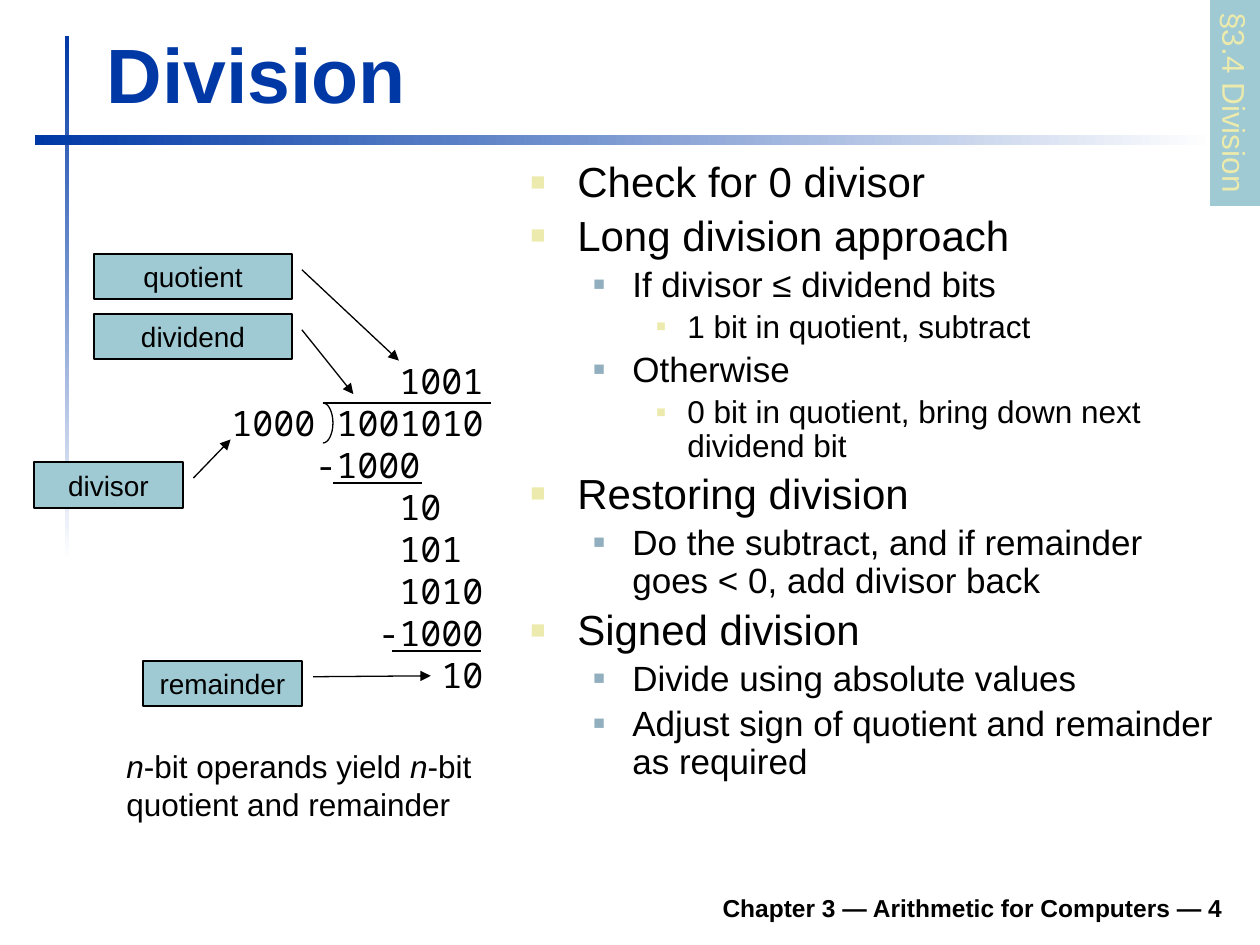
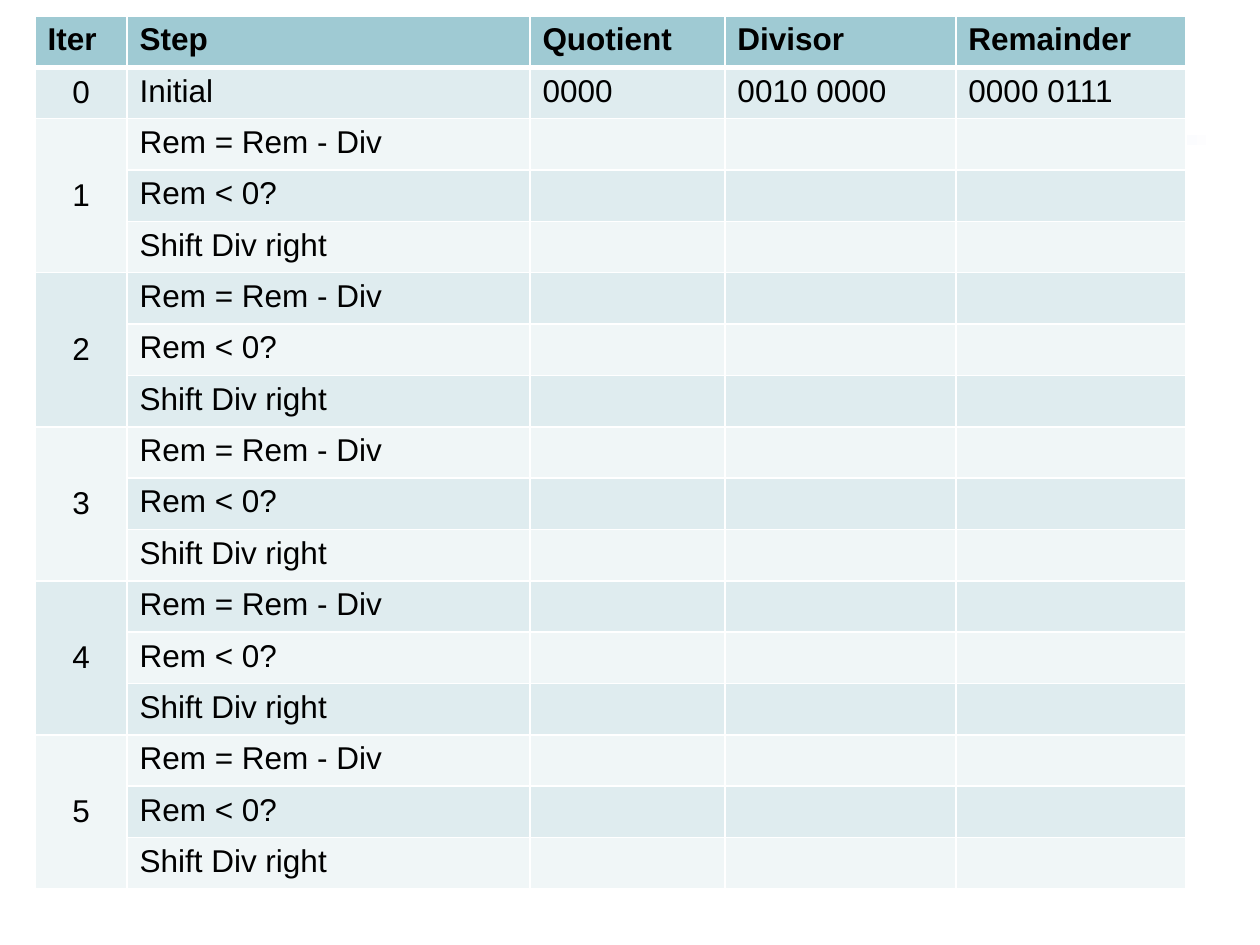
import math
from dataclasses import dataclass

from lxml import etree
from pptx import Presentation
from pptx import util as u
from pptx.dml.color import RGBColor
from pptx.enum import shapes, text
from pptx.oxml import ns

PX = 914400 // 126
BLUE = RGBColor(0x00, 0x39, 0xA6)
WHITE = RGBColor(0xFF, 0xFF, 0xFF)
BLACK = RGBColor(0x00, 0x00, 0x00)
TEAL = RGBColor(0x9F, 0xCA, 0xD3)
CREAM = RGBColor(0xEC, 0xEA, 0xAC)
STEEL = RGBColor(0x91, 0xAF, 0xBF)
BAND_DARK = RGBColor(0xDF, 0xEC, 0xEF)
BAND_LIGHT = RGBColor(0xF0, 0xF6, 0xF7)
SANS = "Arial"
MONO = "Noto Sans Mono"
DIGIT_WIDTH = 21


@dataclass(frozen=True)
class Box:
    left: int
    top: int
    width: int
    height: int

    def emu(self) -> tuple[int, ...]:
        return tuple(v * PX for v in (self.left, self.top, self.width, self.height))


@dataclass(frozen=True)
class Level:
    size: int
    margin: int
    hang: int
    bullet_color: RGBColor
    bullet_percent: int


@dataclass(frozen=True)
class Callout:
    label: str
    box: Box
    tip: tuple[float, float, float, float]


LEVELS = (
    Level(24, 47, 47, CREAM, 60),
    Level(20, 102, 39, STEEL, 55),
    Level(18, 157, 31, CREAM, 50),
)
OUTLINE = (
    (0, "Check for 0 divisor"),
    (0, "Long division approach"),
    (1, "If divisor ≤ dividend bits"),
    (2, "1 bit in quotient, subtract"),
    (1, "Otherwise"),
    (2, "0 bit in quotient, bring down next dividend bit"),
    (0, "Restoring division"),
    (1, "Do the subtract, and if remainder goes < 0, add divisor back"),
    (0, "Signed division"),
    (1, "Divide using absolute values"),
    (1, "Adjust sign of quotient and remainder as required"),
)
WORKING = (
    (8, "1001"),
    (0, "1000 1001010"),
    (4, "-1000"),
    (8, "10"),
    (8, "101"),
    (8, "1010"),
    (7, "-1000"),
    (10, "10"),
)
CALLOUTS = (
    Callout("quotient", Box(94, 254, 198, 45), (0.35, 1.05, 2.37, 1.54)),
    Callout("dividend", Box(94, 314, 198, 45), (0.35, 1.05, 1.78, 1.31)),
    Callout("remainder", Box(143, 661, 159, 45), (0.35, 1.07, 0.33, 1.81)),
    Callout("divisor", Box(34, 462, 149, 46), (0.35, 1.07, -0.49, 1.32)),
)
RULES = ((323, 491, 403), (333, 422, 483), (392, 481, 651))
HEADINGS = ("Iter", "Step", "Quotient", "Divisor", "Remainder")
INITIAL = ("0", "Initial", "0000", "0010 0000", "0000 0111")
STEPS = ("Rem = Rem - Div", "Rem < 0?", "Shift Div right")
ITERATIONS = 5
COLUMNS = (92, 403, 195, 231, 230)
TABLE_HEIGHT = 873


def add_xml(parent, tag: str, **attributes: str):
    return etree.SubElement(parent, ns.qn(tag), **attributes)


def style(paragraph, size: int, color: RGBColor = BLACK, bold: bool = False,
          face: str = SANS) -> None:
    font = paragraph.font
    font.name, font.size, font.bold = face, u.Pt(size), bold
    font.color.rgb = color


def text_frame(slide, box: Box, wrap: bool = True):
    frame = slide.shapes.add_textbox(*box.emu()).text_frame
    frame.word_wrap = wrap
    return frame


def paragraph_at(frame, index: int):
    return frame.paragraphs[0] if index == 0 else frame.add_paragraph()


def plain_shape(slide, kind, box: Box):
    shape = slide.shapes.add_shape(kind, *box.emu())
    shape.shadow.inherit = False
    return shape


def draw_rails(slide) -> None:
    for box, angle in ((Box(65, 36, 4, 525), 270), (Box(35, 135, 1180, 10), 0)):
        rail = plain_shape(slide, shapes.MSO_SHAPE.RECTANGLE, box)
        rail.line.fill.background()
        rail.fill.gradient()
        rail.fill.gradient_angle = angle
        for stop, color in zip(rail.fill.gradient_stops, (BLUE, WHITE)):
            stop.color.rgb = color


def draw_title(slide, wording: str) -> None:
    title = slide.shapes.title
    title.left, title.top, title.width, title.height = Box(94, 20, 1138, 105).emu()
    frame = title.text_frame
    frame.text = wording
    frame.vertical_anchor = text.MSO_ANCHOR.BOTTOM
    frame.auto_size = text.MSO_AUTO_SIZE.SHAPE_TO_FIT_TEXT
    heading = frame.paragraphs[0]
    heading.alignment = text.PP_ALIGN.LEFT
    style(heading, 44, BLUE, bold=True)


def draw_footer(slide, wording: str) -> None:
    frame = text_frame(slide, Box(233, 880, 1002, 49))
    frame.vertical_anchor = text.MSO_ANCHOR.BOTTOM
    footer = frame.paragraphs[0]
    footer.text = wording
    footer.alignment = text.PP_ALIGN.RIGHT
    style(footer, 14, bold=True)


def draw_section_tag(slide, wording: str) -> None:
    tag = plain_shape(slide, shapes.MSO_SHAPE.RECTANGLE, Box(1132, 78, 206, 50))
    tag.rotation = 90
    tag.fill.solid()
    tag.fill.fore_color.rgb = TEAL
    tag.line.fill.background()
    tag.text_frame.word_wrap = False
    label = tag.text_frame.paragraphs[0]
    label.text = wording
    label.alignment = text.PP_ALIGN.LEFT
    style(label, 18, CREAM)


def draw_outline(slide) -> None:
    frame = text_frame(slide, Box(518, 155, 717, 704))
    for index, (depth, wording) in enumerate(OUTLINE):
        level = LEVELS[depth]
        item = paragraph_at(frame, index)
        item.text, item.level, item.line_spacing = wording, depth, 0.9
        properties = item._p.get_or_add_pPr()
        properties.set("marL", str(level.margin * PX))
        properties.set("indent", str(-level.hang * PX))
        add_xml(add_xml(properties, "a:spcBef"), "a:spcPct", val="20000")
        add_xml(add_xml(properties, "a:buClr"), "a:srgbClr", val=str(level.bullet_color))
        add_xml(properties, "a:buSzPct", val=str(level.bullet_percent * 1000))
        add_xml(properties, "a:buFont", typeface=SANS)
        add_xml(properties, "a:buChar", char="■")
        style(item, level.size)


def draw_rule(slide, start: int, end: int, height: int) -> None:
    rule = slide.shapes.add_connector(
        shapes.MSO_CONNECTOR.STRAIGHT, end * PX, height * PX, start * PX, height * PX)
    rule.line.color.rgb = BLACK
    rule.line.width = u.Pt(0.75)
    add_xml(rule._element.spPr, "a:effectLst")


def draw_bracket_half(slide, start: int, direction: int) -> None:
    angles = [math.pi / 2 * step / 8 for step in range(9)]
    points = [((323 + 10 * math.sin(a)) * PX,
               (start + direction * 20 * (1 - math.cos(a))) * PX) for a in angles]
    builder = slide.shapes.build_freeform(*points[0])
    builder.add_line_segments(points[1:], close=False)
    half = builder.convert_to_shape()
    half.shadow.inherit = False
    half.fill.background()
    half.line.color.rgb = BLACK
    half.line.width = u.Pt(0.75)


def draw_working(slide) -> None:
    frame = text_frame(slide, Box(219, 353, 298, 349))
    for index, (column, digits) in enumerate(WORKING):
        row = paragraph_at(frame, index)
        row.text = digits
        row._p.get_or_add_pPr().set("marL", str(column * DIGIT_WIDTH * PX))
        style(row, 20, face=MONO)
    for rule in RULES:
        draw_rule(slide, *rule)
    draw_bracket_half(slide, 403, 1)
    draw_bracket_half(slide, 443, -1)


def draw_callout(slide, callout: Callout) -> None:
    shape = plain_shape(slide, shapes.MSO_SHAPE.LINE_CALLOUT_1, callout.box)
    for index, value in enumerate(callout.tip):
        shape.adjustments[index] = value
    shape.fill.solid()
    shape.fill.fore_color.rgb = TEAL
    shape.line.color.rgb = BLACK
    shape.line.width = u.Pt(0.75)
    add_xml(shape.line._get_or_add_ln(), "a:tailEnd", type="triangle")
    label = shape.text_frame.paragraphs[0]
    label.text = callout.label
    label.alignment = text.PP_ALIGN.CENTER
    style(label, 16)


def draw_note(slide) -> None:
    note = text_frame(slide, Box(114, 741, 370, 88), wrap=False).paragraphs[0]
    style(note, 18)
    for wording, italic in (("n", True), ("-bit operands yield ", False),
                            ("n", True), ("-bit", False)):
        run = note.add_run()
        run.text = wording
        run.font.italic = italic
    note.add_line_break()
    note.add_run().text = "quotient and remainder"


def border_cell(cell, row: int) -> None:
    thick = {0: "a:lnB", 1: "a:lnT"}.get(row)
    properties = cell._tc.get_or_add_tcPr()
    for side in ("a:lnL", "a:lnR", "a:lnT", "a:lnB"):
        width = u.Pt(3 if side == thick else 1)
        edge = add_xml(properties, side, w=str(int(width)))
        add_xml(add_xml(edge, "a:solidFill"), "a:srgbClr", val=str(WHITE))


def draw_iterations(slide) -> None:
    rows = [HEADINGS, INITIAL]
    for iteration in range(1, ITERATIONS + 1):
        for index, step in enumerate(STEPS):
            rows.append((str(iteration) if index == 0 else "", step, "", "", ""))
    box = Box(35, 16, sum(COLUMNS), TABLE_HEIGHT)
    table = slide.shapes.add_table(len(rows), len(COLUMNS), *box.emu()).table
    table.first_row = table.horz_banding = False
    for column, width in zip(table.columns, COLUMNS):
        column.width = width * PX
    for r, values in enumerate(rows):
        table.rows[r].height = TABLE_HEIGHT * PX // len(rows)
        band = TEAL if r == 0 else BAND_DARK if r % 2 else BAND_LIGHT
        for c, value in enumerate(values):
            cell = table.cell(r, c)
            border_cell(cell, r)
            cell.fill.solid()
            cell.fill.fore_color.rgb = band
            entry = cell.text_frame.paragraphs[0]
            if value:
                entry.text = value
            if c == 0 and r > 0:
                cell.vertical_anchor = text.MSO_ANCHOR.MIDDLE
                entry.alignment = text.PP_ALIGN.CENTER
            style(entry, 18, bold=r == 0)
    for first in range(2, len(rows), len(STEPS)):
        table.cell(first, 0).merge(table.cell(first + len(STEPS) - 1, 0))


deck = Presentation()
deck.slide_width, deck.slide_height = u.Inches(10), u.Inches(7.5)

division = deck.slides.add_slide(deck.slide_layouts[5])
draw_rails(division)
draw_title(division, "Division")
draw_footer(division, "Chapter 3 — Arithmetic for Computers — 4")
draw_outline(division)
draw_working(division)
draw_note(division)
for pointer in CALLOUTS:
    draw_callout(division, pointer)
draw_section_tag(division, "§3.4 Division")

worksheet = deck.slides.add_slide(deck.slide_layouts[6])
draw_rails(worksheet)
draw_iterations(worksheet)

deck.save("out.pptx")
